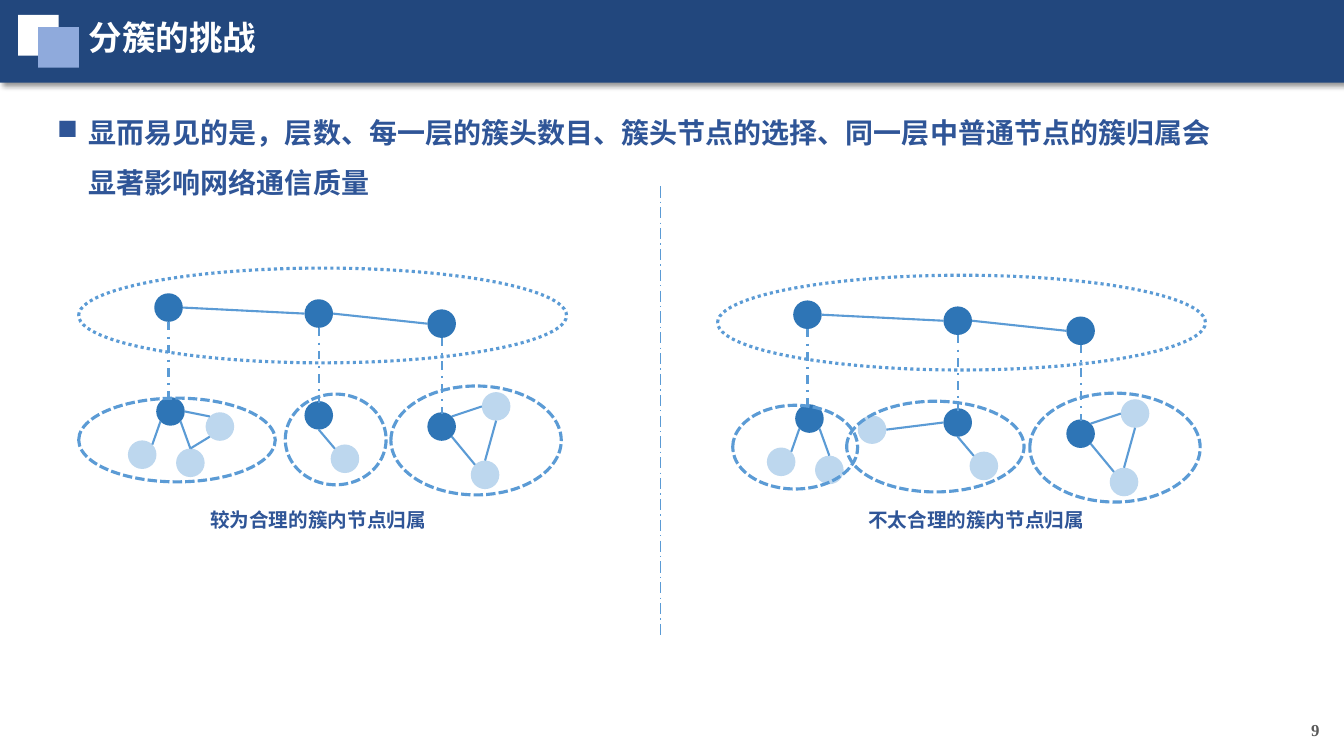
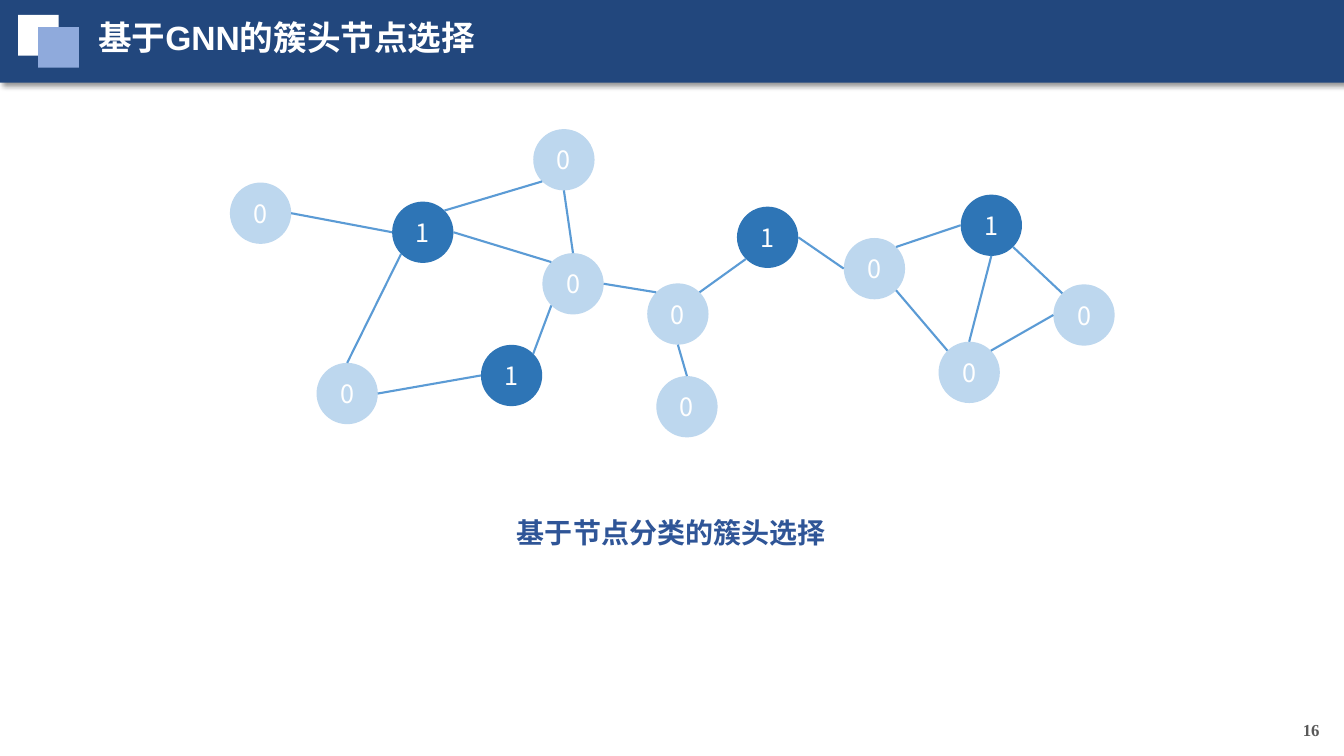
from dataclasses import dataclass
from math import sqrt

from lxml.etree import SubElement
from pptx import Presentation
from pptx.dml.color import RGBColor
from pptx.enum.dml import MSO_LINE
from pptx.enum.shapes import MSO_CONNECTOR, MSO_SHAPE
from pptx.enum.text import MSO_ANCHOR, PP_ALIGN
from pptx.oxml.ns import qn
from pptx.util import Pt


@dataclass(frozen=True)
class Theme:
    band: str = "22477D"
    white: str = "FFFFFF"
    square: str = "8FAADC"
    text: str = "2F5597"
    page: str = "595959"
    head: str = "2E75B6"
    member: str = "BDD7EE"
    line: str = "5B9BD5"
    title_size: float = 24
    body_size: float = 20
    label_size: float = 18
    caption_size: float = 14
    page_size: float = 12
    thin: float = 1
    edge: float = 1.5
    ring: float = 2.25
    sans: str = "Arial"
    chinese: str = "Noto Sans CJK SC"
    serif: str = "Times New Roman"


THEME = Theme()
WIDTH, HEIGHT = 960, 540
DIAGONAL = sqrt(0.5)
COMPASS = {
    "N": (0, -1), "S": (0, 1), "W": (-1, 0), "E": (1, 0),
    "NW": (-DIAGONAL, -DIAGONAL), "NE": (DIAGONAL, -DIAGONAL),
    "SW": (-DIAGONAL, DIAGONAL), "SE": (DIAGONAL, DIAGONAL),
}

SMALL_NODE = 20.4
RELAY_DROP = 54
BACKBONE_RING = (0, 0, 348.5, 67.7)
BACKBONE = {"first": (54, 18), "second": (161.3, 22.3), "third": (249.1, 29.5)}
BACKBONE_EDGES = ["second W first E", "third W second E"]
HEADS = {"left_head": (55.4, 92.2), "middle_head": (161.3, 95), "right_head": (249.1, 103)}
MEMBERS = {
    "left_low": (35.2, 123.1), "left_bottom": (69.6, 128.9), "middle_low": (180, 126),
    "right_low": (280.1, 137.5), "right_high": (288, 88.6),
}
CLUSTER_EDGES = [
    "left_low NE left_head SW", "left_bottom N left_head SE",
    "middle_low NW middle_head S", "right_low NW right_head SE",
    "right_high W right_head NE", "right_low N right_high S",
]
RIGHT_RING = (223, 84.2, 121.7, 77.8)

LABEL_NODE = 43.8
GRAPH_HEADS = {
    "west_head": (115.9, 51.8), "south_head": (179.3, 154.1),
    "centre_head": (362.2, 55.4), "east_head": (522, 46.8),
}
GRAPH_MEMBERS = {
    "far_west": (0, 38.2), "south_west": (61.9, 167), "north": (216.7, 0),
    "hub": (223.2, 88.6), "bridge": (298.1, 110.2), "south": (304.6, 176.4),
    "gate": (438.5, 77.8), "south_east": (506.2, 151.9), "far_east": (588.2, 110.9),
}
GRAPH_EDGES = [
    "west_head W far_west E", "south_west N west_head SW", "west_head NE north SW",
    "hub NW west_head E", "hub N north S", "south_head W south_west E",
    "south_head NE hub SW", "bridge NW hub E", "south N bridge S",
    "centre_head SW bridge NE", "gate W centre_head E", "south_east NW gate SE",
    "east_head W gate NE", "south_east N east_head S",
    "far_east NW east_head SE", "far_east W south_east NE",
]


def apply_format(target, values):
    for name, value in values.items():
        setattr(target, name, value)


def write_text(frame, text, size, color, font=THEME.chinese, bold=True,
               frame_format=None, paragraph_format=None):
    apply_format(frame, {"word_wrap": True, **(frame_format or {})})
    paragraph = frame.paragraphs[0]
    apply_format(paragraph, paragraph_format or {})
    run = paragraph.add_run()
    run.text = text
    apply_format(run.font, {"size": Pt(size), "bold": bold, "name": font})
    run.font.color.rgb = RGBColor.from_string(color)
    SubElement(run._r.get_or_add_rPr(), qn("a:ea"), typeface=THEME.chinese)
    return paragraph


def add_text(slide, box, *text_arguments, **text_options):
    frame = slide.shapes.add_textbox(*map(Pt, box)).text_frame
    return write_text(frame, *text_arguments, **text_options)


def add_filled(slide, kind, box, color):
    shape = slide.shapes.add_shape(kind, *map(Pt, box))
    shape.shadow.inherit = False
    shape.fill.solid()
    shape.fill.fore_color.rgb = RGBColor.from_string(color)
    shape.line.fill.background()
    return shape


def style_line(line, width, dash=None):
    line.color.rgb = RGBColor.from_string(THEME.line)
    apply_format(line, {"width": Pt(width), "dash_style": dash})


def add_ring(slide, origin, box, dash):
    left, top, width, height = box
    position = (origin[0] + left, origin[1] + top, width, height)
    shape = slide.shapes.add_shape(MSO_SHAPE.OVAL, *map(Pt, position))
    shape.shadow.inherit = False
    shape.fill.background()
    style_line(shape.line, THEME.ring, dash)


def add_line(slide, start, end, width=THEME.edge, dash=None):
    connector = slide.shapes.add_connector(MSO_CONNECTOR.STRAIGHT, *map(Pt, (*start, *end)))
    style_line(connector.line, width, dash)
    SubElement(connector._element.spPr, qn("a:effectLst"))


def add_nodes(slide, origin, nodes, size, color, label=None):
    for left, top in nodes.values():
        box = (origin[0] + left, origin[1] + top, size, size)
        shape = add_filled(slide, MSO_SHAPE.OVAL, box, color)
        if label:
            write_text(shape.text_frame, label, THEME.label_size, THEME.white, bold=False,
                       frame_format={"vertical_anchor": MSO_ANCHOR.MIDDLE},
                       paragraph_format={"alignment": PP_ALIGN.CENTER})


def node_site(origin, node, size, direction):
    return tuple(start + offset + size / 2 * (1 + step)
                 for start, offset, step in zip(origin, node, COMPASS[direction]))


def add_edges(slide, origin, nodes, size, edges):
    for edge in edges:
        source, source_side, target, target_side = edge.split()
        add_line(slide, node_site(origin, nodes[source], size, source_side),
                 node_site(origin, nodes[target], size, target_side))


def add_frame(presentation, title, page, title_indent=0):
    slide = presentation.slides.add_slide(presentation.slide_layouts[6])
    band = add_filled(slide, MSO_SHAPE.RECTANGLE, (0, 0, WIDTH, 59), THEME.band)
    effects = band._element.spPr.find(qn("a:effectLst"))
    shadow = SubElement(effects, qn("a:outerShdw"), blurRad=str(Pt(4)), dist=str(Pt(3)),
                        dir="2700000", algn="tl", rotWithShape="0")
    shadow_color = SubElement(shadow, qn("a:srgbClr"), val="000000")
    SubElement(shadow_color, qn("a:alpha"), val="40000")
    for left, top, color in ((12.9, 10.7, THEME.white), (27.3, 19.4, THEME.square)):
        add_filled(slide, MSO_SHAPE.RECTANGLE, (left, top, 29, 29), color)
    add_text(slide, (56.2, 8.6, 446.4, 36), title, THEME.title_size, THEME.white,
             font=THEME.sans, frame_format={"margin_left": Pt(7.2 + title_indent)})
    add_text(slide, (733.7, 506.9, 216, 28.8), page, THEME.page_size, THEME.page,
             font=THEME.serif, frame_format={"vertical_anchor": MSO_ANCHOR.MIDDLE},
             paragraph_format={"alignment": PP_ALIGN.RIGHT})
    return slide


def add_bullet(slide, box, text):
    paragraph = add_text(slide, box, text, THEME.body_size, THEME.text,
                         paragraph_format={"line_spacing": 1.5})
    properties = paragraph._p.get_or_add_pPr()
    apply_indent = {"marL": Pt(22.5), "indent": -Pt(22.5)}
    for name, value in apply_indent.items():
        properties.set(name, str(value))
    SubElement(properties, qn("a:buChar"), char="■")


def add_cluster_panel(slide, origin, stray, stray_edges, rings):
    members = {**MEMBERS, "stray": stray}
    nodes = {**BACKBONE, **HEADS, **members}
    add_nodes(slide, origin, members, SMALL_NODE, THEME.member)
    add_nodes(slide, origin, {**HEADS, **BACKBONE}, SMALL_NODE, THEME.head)
    add_edges(slide, origin, nodes, SMALL_NODE, BACKBONE_EDGES + CLUSTER_EDGES + stray_edges)
    for node in BACKBONE.values():
        left, top = node_site(origin, node, SMALL_NODE, "S")
        add_line(slide, (left, top), (left, top + RELAY_DROP), dash=MSO_LINE.DASH_DOT)
    add_ring(slide, origin, BACKBONE_RING, MSO_LINE.ROUND_DOT)
    for ring in (*rings, RIGHT_RING):
        add_ring(slide, origin, ring, MSO_LINE.SQUARE_DOT)


def add_caption(slide, box, text, size, font=THEME.chinese, spacing=None):
    add_text(slide, box, text, size, THEME.text, font=font,
             paragraph_format={"alignment": PP_ALIGN.CENTER, "line_spacing": spacing})


def add_challenge_slide(presentation):
    slide = add_frame(presentation, "分簇的挑战", "9")
    add_bullet(slide, (33.8, 67, 845.3, 75.6),
               "显而易见的是，层数、每一层的簇头数目、簇头节点的选择、"
               "同一层中普通节点的簇归属会显著影响网络通信质量")
    add_cluster_panel(slide, (56.2, 191.5), (90.7, 103),
                      ["stray NW left_head E", "left_bottom N stray SW"],
                      [(0, 92.9, 140.4, 59.8), (147.6, 90, 72, 64.8)])
    add_cluster_panel(slide, (512.6, 196.6), (100.1, 100.1), ["middle_head W stray E"],
                      [(10.8, 92.9, 89.3, 59.8), (92.2, 90, 126.7, 64.8)])
    add_line(slide, (471.6, 133.2), (471.6, 456.5), THEME.thin, MSO_LINE.LONG_DASH_DOT)
    for left, text in ((124.6, "较为合理的簇内节点归属"), (594.7, "不太合理的簇内节点归属")):
        add_caption(slide, (left, 359.3, 205.2, 24.5), text, THEME.caption_size)


def add_graph(slide, origin):
    add_nodes(slide, origin, GRAPH_HEADS, LABEL_NODE, THEME.head, "1")
    add_nodes(slide, origin, GRAPH_MEMBERS, LABEL_NODE, THEME.member, "0")
    add_edges(slide, origin, {**GRAPH_HEADS, **GRAPH_MEMBERS}, LABEL_NODE, GRAPH_EDGES)


def add_selection_slide(presentation):
    slide = add_frame(presentation, "基于GNN的簇头节点选择", "16", title_indent=6.7)
    add_caption(slide, (357.8, 352.8, 243.4, 39.6), "基于节点分类的簇头选择",
                THEME.body_size, THEME.sans, 1.5)
    add_graph(slide, (164.2, 92.2))


def main():
    presentation = Presentation()
    apply_format(presentation, {"slide_width": Pt(WIDTH), "slide_height": Pt(HEIGHT)})
    add_challenge_slide(presentation)
    add_selection_slide(presentation)
    presentation.save("out.pptx")


if __name__ == "__main__":
    main()
